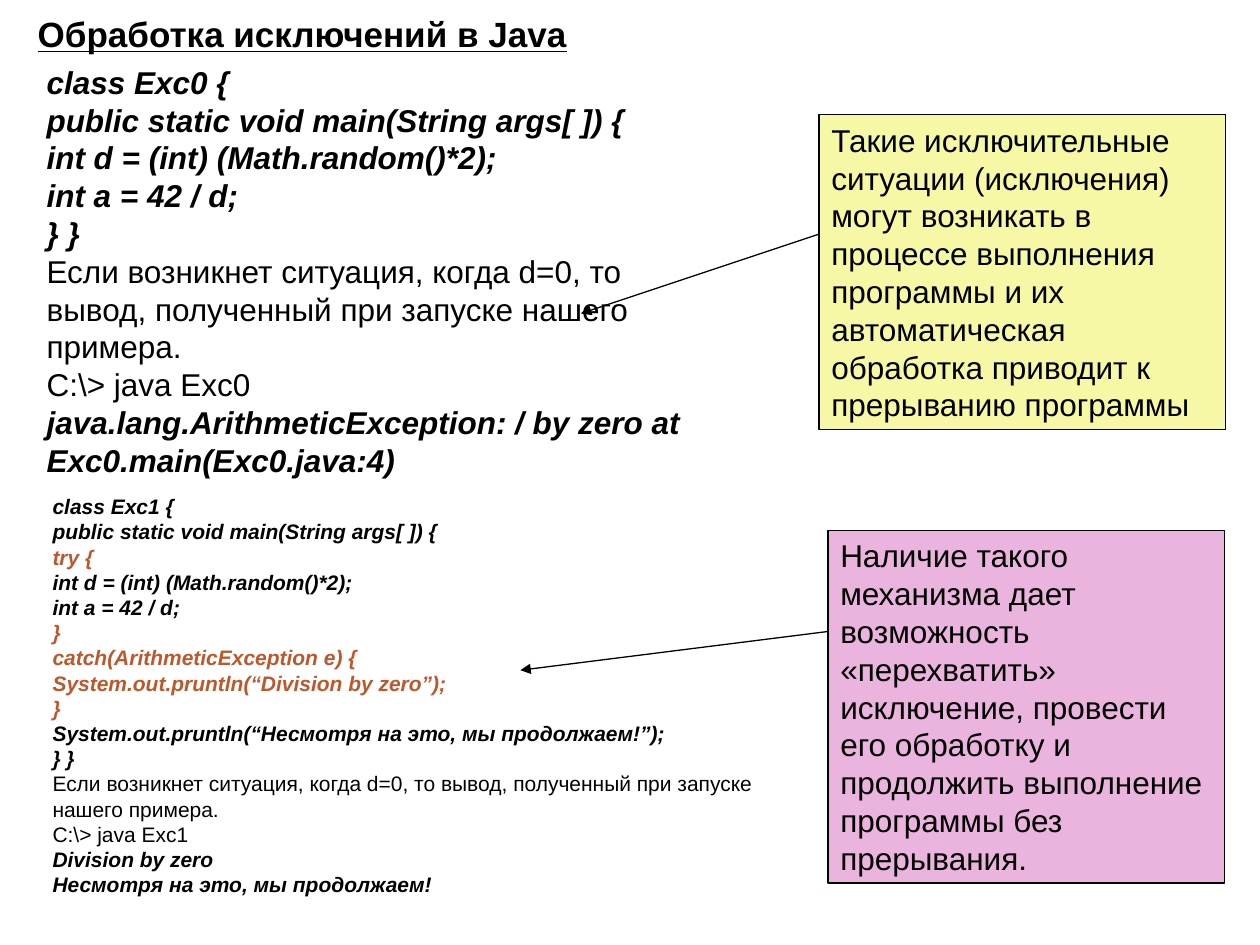
from dataclasses import dataclass
from enum import Enum

from lxml.etree import SubElement
from pptx import Presentation
from pptx.dml.color import RGBColor
from pptx.enum.shapes import MSO_CONNECTOR, MSO_SHAPE
from pptx.enum.text import MSO_ANCHOR, MSO_AUTO_SIZE, PP_ALIGN
from pptx.oxml.ns import qn
from pptx.shapes.base import BaseShape
from pptx.slide import Slide
from pptx.util import Cm, Pt


@dataclass(frozen=True)
class Theme:
    font: str = "Arial"
    ink: RGBColor = RGBColor(0x00, 0x00, 0x00)
    accent: RGBColor = RGBColor(0xBD, 0x58, 0x2C)
    yellow: RGBColor = RGBColor(0xF6, 0xF8, 0xA6)
    pink: RGBColor = RGBColor(0xEA, 0xB4, 0xDE)
    title_size: float = 20
    body_size: float = 18
    small_size: float = 12
    title_space: float = 12.5
    note_space: float = 11.2
    line_width: float = 0.75


THEME = Theme()


class Style(Enum):
    TITLE = "title"
    CODE = "code"
    HANDLER = "handler"
    PLAIN = "plain"


@dataclass(frozen=True)
class Box:
    left: float
    top: float
    width: float
    height: float


@dataclass(frozen=True)
class Passage:
    style: Style
    text: str


@dataclass(frozen=True)
class TextBlock:
    box: Box
    size: float
    passages: tuple[Passage, ...]
    space_before: float = 0


@dataclass(frozen=True)
class Note:
    block: TextBlock
    fill: RGBColor
    arrow_start: float
    arrow_end: tuple[float, float]


SITUATION = "Если возникнет ситуация, когда d=0, то вывод, полученный при запуске нашего примера."
CLASS_BODY = "int d = (int) (Math.random()*2);\nint a = 42 / d;"
MAIN_METHOD = "public static void main(String args[ ]) {"

TEXT_BLOCKS = (
    TextBlock(
        Box(0.51, 0.13, 20.19, 1.12),
        THEME.title_size,
        (Passage(Style.TITLE, "Обработка исключений в Java"),),
        THEME.title_space,
    ),
    TextBlock(
        Box(0.69, 1.14, 14.2, 8.64),
        THEME.body_size,
        (
            Passage(Style.CODE, f"class Exc0 {{\n{MAIN_METHOD}\n{CLASS_BODY}\n}} }}"),
            Passage(Style.PLAIN, f"{SITUATION}\nС:\\> java Exc0"),
            Passage(Style.CODE, "java.lang.ArithmeticException: / by zero at Exc0.main(Exc0.java:4)"),
        ),
    ),
    TextBlock(
        Box(0.81, 9.83, 15.8, 8.38),
        THEME.small_size,
        (
            Passage(Style.CODE, f"class Exc1 {{\n{MAIN_METHOD}"),
            Passage(Style.HANDLER, "try {"),
            Passage(Style.CODE, CLASS_BODY),
            Passage(
                Style.HANDLER,
                "}\ncatch(ArithmeticException e) {\nSystem.out.pruntln(“Division by zero”);\n}",
            ),
            Passage(Style.CODE, "System.out.pruntln(“Несмотря на это, мы продолжаем!”);\n} }"),
            Passage(Style.PLAIN, f"{SITUATION}\nС:\\> java Exc1"),
            Passage(Style.CODE, "Division by zero\nНесмотря на это, мы продолжаем!"),
        ),
    ),
)

NOTES = (
    Note(
        TextBlock(
            Box(16.51, 2.31, 8.2, 6.35),
            THEME.body_size,
            (
                Passage(
                    Style.PLAIN,
                    "Такие исключительные ситуации (исключения) могут возникать в процессе "
                    "выполнения программы и их автоматическая обработка приводит к "
                    "прерыванию программы",
                ),
            ),
            THEME.note_space,
        ),
        THEME.yellow,
        4.72,
        (11.71, 6.32),
    ),
    Note(
        TextBlock(
            Box(16.69, 10.69, 8, 7.11),
            THEME.body_size,
            (
                Passage(
                    Style.PLAIN,
                    "Наличие такого механизма дает возможность «перехватить» исключение, "
                    "провести его обработку и продолжить выполнение программы без прерывания.",
                ),
            ),
            THEME.note_space,
        ),
        THEME.pink,
        12.73,
        (10.49, 13.51),
    ),
)


def lengths(box: Box) -> tuple[Cm, Cm, Cm, Cm]:
    return Cm(box.left), Cm(box.top), Cm(box.width), Cm(box.height)


def write_text(shape: BaseShape, block: TextBlock) -> None:
    lines = [(passage.style, line) for passage in block.passages for line in passage.text.split("\n")]
    text_frame = shape.text_frame
    text_frame.text = "\n".join(line for _, line in lines)
    text_frame.word_wrap = True
    text_frame.auto_size = MSO_AUTO_SIZE.SHAPE_TO_FIT_TEXT
    text_frame.vertical_anchor = MSO_ANCHOR.TOP
    for paragraph, (style, _) in zip(text_frame.paragraphs, lines):
        paragraph.alignment = PP_ALIGN.LEFT
        paragraph.space_before = Pt(block.space_before)
        for run in paragraph.runs:
            font = run.font
            font.name = THEME.font
            font.size = Pt(block.size)
            font.bold = style is not Style.PLAIN
            font.italic = style in (Style.CODE, Style.HANDLER)
            font.underline = style is Style.TITLE
            font.color.rgb = THEME.accent if style is Style.HANDLER else THEME.ink


def draw_text_block(slide: Slide, block: TextBlock) -> None:
    write_text(slide.shapes.add_textbox(*lengths(block.box)), block)


def draw_note(slide: Slide, note: Note) -> None:
    box = note.block.box
    shape = slide.shapes.add_shape(MSO_SHAPE.RECTANGLE, *lengths(box))
    shape.shadow.inherit = False
    shape.fill.solid()
    shape.fill.fore_color.rgb = note.fill
    write_text(shape, note.block)

    end_left, end_top = note.arrow_end
    arrow = slide.shapes.add_connector(
        MSO_CONNECTOR.STRAIGHT, Cm(box.left), Cm(note.arrow_start), Cm(end_left), Cm(end_top)
    )
    for outlined in (shape, arrow):
        outlined.line.color.rgb = THEME.ink
        outlined.line.width = Pt(THEME.line_width)
    SubElement(arrow.line._get_or_add_ln(), qn("a:tailEnd"), type="triangle")
    SubElement(arrow._element.spPr, qn("a:effectLst"))


def main() -> None:
    presentation = Presentation()
    presentation.slide_width, presentation.slide_height = Cm(25.4), Cm(19.05)
    slide = presentation.slides.add_slide(presentation.slide_layouts[6])
    for block in TEXT_BLOCKS:
        draw_text_block(slide, block)
    for note in NOTES:
        draw_note(slide, note)
    presentation.save("out.pptx")


if __name__ == "__main__":
    main()
